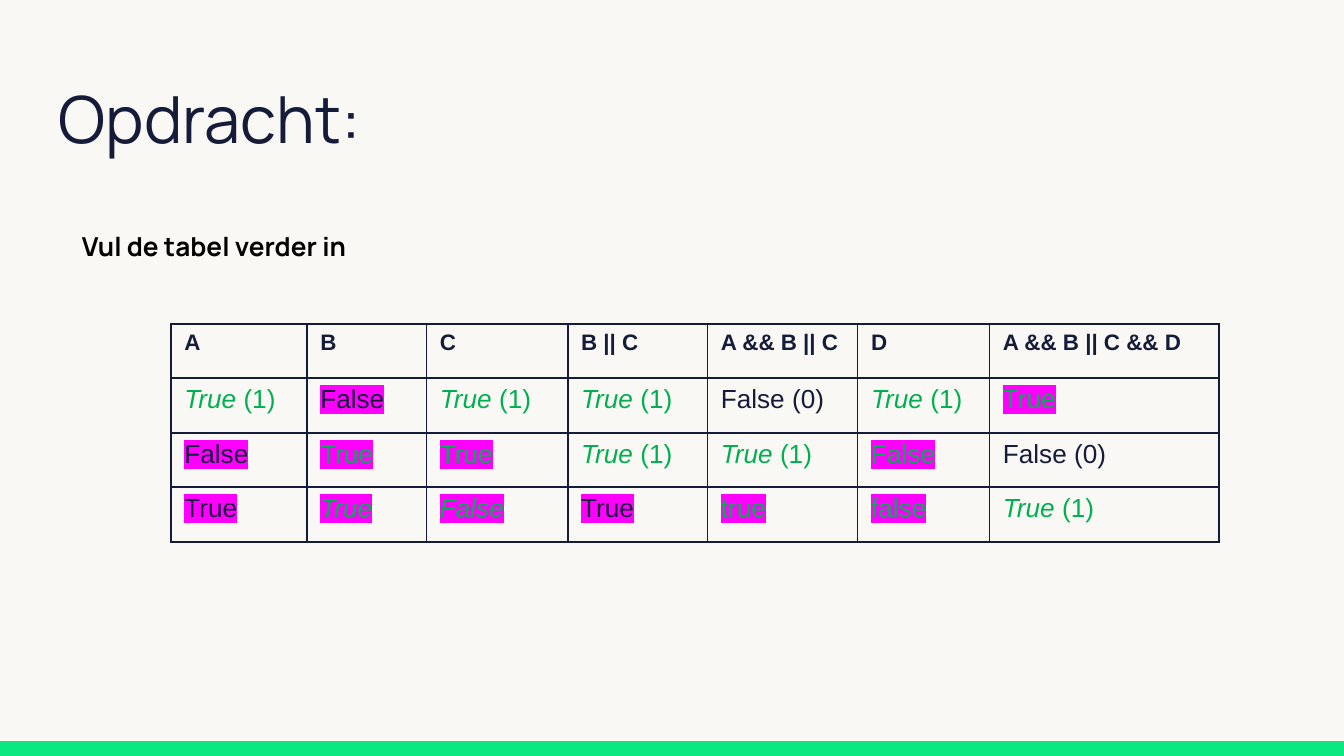
from dataclasses import dataclass

from lxml.etree import SubElement
from pptx import Presentation
from pptx.dml.color import RGBColor
from pptx.enum.shapes import MSO_SHAPE
from pptx.enum.text import MSO_ANCHOR
from pptx.oxml import parse_xml
from pptx.oxml.ns import nsdecls, qn
from pptx.util import Cm, Pt

NAVY, GREEN, MAGENTA = "141C3A", "00B050", "FF00FF"
CREAM, MINT, BLACK = "FAF8F4", "0BE881", "000000"


def rgb(value):
    return RGBColor.from_string(value)


@dataclass
class Part:
    """A stretch of text with one look."""
    text: str
    color: str = NAVY
    size: float = 14
    font: str = "Arial"
    bold: bool = False
    italic: bool = False
    highlight: str = ""


def heading(text):
    return [Part(text, size=12, bold=True)]


def answer(text, color=GREEN, italic=False):
    """A filled-in value, marked with a highlight."""
    return [Part(text, color, italic=italic, highlight=MAGENTA)]


TRUE_GIVEN = [Part("True ", GREEN, italic=True), Part("(1)", GREEN)]
FALSE_GIVEN = [Part("False (0)")]

HEADINGS = ["A", "B", "C", "B || C", "A && B || C", "D", "A && B || C && D"]
TRUTH_ROWS = [
    [heading(text) for text in HEADINGS],
    [TRUE_GIVEN, answer("False", NAVY), TRUE_GIVEN, TRUE_GIVEN,
     FALSE_GIVEN, TRUE_GIVEN, answer("True")],
    [answer("False", NAVY), answer("True"), answer("True"), TRUE_GIVEN,
     TRUE_GIVEN, answer("False"), FALSE_GIVEN],
    [answer("True", NAVY), answer("True", italic=True),
     answer("False", italic=True), answer("True", NAVY),
     answer("true"), answer("false"), TRUE_GIVEN],
]
COLUMN_WIDTHS = [2.57, 2.26, 2.67, 2.64, 2.84, 2.49, 4.34]
ROW_HEIGHT = 1.03


class SlideBuilder:
    def __init__(self, slide, background):
        self.slide = slide
        fill = slide.background.fill
        fill.solid()
        fill.fore_color.rgb = rgb(background)

    def bar(self, left, top, width, height, color):
        bar = self.slide.shapes.add_shape(
            MSO_SHAPE.RECTANGLE, Cm(left), Cm(top), Cm(width), Cm(height))
        bar.shadow.inherit = False
        bar.fill.solid()
        bar.fill.fore_color.rgb = rgb(color)
        bar.line.fill.background()

    def add_parts(self, frame, parts):
        for part in parts:
            run = frame.paragraphs[0].add_run()
            run.text = part.text
            font = run.font
            font.name, font.size = part.font, Pt(part.size)
            font.bold, font.italic = part.bold, part.italic
            font.color.rgb = rgb(part.color)
            if part.highlight:
                fill = run._r.rPr.find(qn("a:solidFill"))
                fill.addnext(parse_xml(
                    f'<a:highlight {nsdecls("a")}>'
                    f'<a:srgbClr val="{part.highlight}"/></a:highlight>'))

    def text(self, left, top, width, height, part,
             anchor=MSO_ANCHOR.TOP, inset=0.13):
        frame = self.slide.shapes.add_textbox(
            Cm(left), Cm(top), Cm(width), Cm(height)).text_frame
        frame.word_wrap = True
        frame.vertical_anchor = anchor
        frame.margin_top = frame.margin_bottom = Cm(inset)
        self.add_parts(frame, [part])

    def border(self, cell, color, width):
        properties = cell._tc.get_or_add_tcPr()
        for position, side in enumerate(("lnL", "lnR", "lnT", "lnB")):
            line = parse_xml(f'<a:{side} {nsdecls("a")} w="{Pt(width)}"/>')
            fill = SubElement(line, qn("a:solidFill"))
            SubElement(fill, qn("a:srgbClr"), val=color)
            properties.insert(position, line)

    def table(self, left, top, column_widths, row_height, rows):
        table = self.slide.shapes.add_table(
            len(rows), len(column_widths), Cm(left), Cm(top),
            Cm(sum(column_widths)), Cm(row_height * len(rows))).table
        table.first_row = table.horz_banding = False
        for column, width in zip(table.columns, column_widths):
            column.width = Cm(width)
        for row, contents in zip(table.rows, rows):
            row.height = Cm(row_height)
            for cell, parts in zip(row.cells, contents):
                cell.fill.background()
                self.border(cell, NAVY, 1)
                self.add_parts(cell.text_frame, parts)


def main():
    deck = Presentation()
    deck.slide_width, deck.slide_height = Cm(25.4), Cm(14.29)
    builder = SlideBuilder(deck.slides.add_slide(deck.slide_layouts[6]), CREAM)
    builder.bar(0, 14.01, 25.4, 0.28, MINT)
    builder.text(0.86, 0.89, 23.67, 2.31,
                 Part("Opdracht:", size=34.8, font="Manrope"),
                 MSO_ANCHOR.BOTTOM, 0.25)
    builder.table(3.23, 6.12, COLUMN_WIDTHS, ROW_HEIGHT, TRUTH_ROWS)
    builder.text(1.3, 4.22, 11.84, 0.86,
                 Part("Vul de tabel verder in", BLACK, font="Manrope", bold=True))
    deck.save("out.pptx")


if __name__ == "__main__":
    main()
